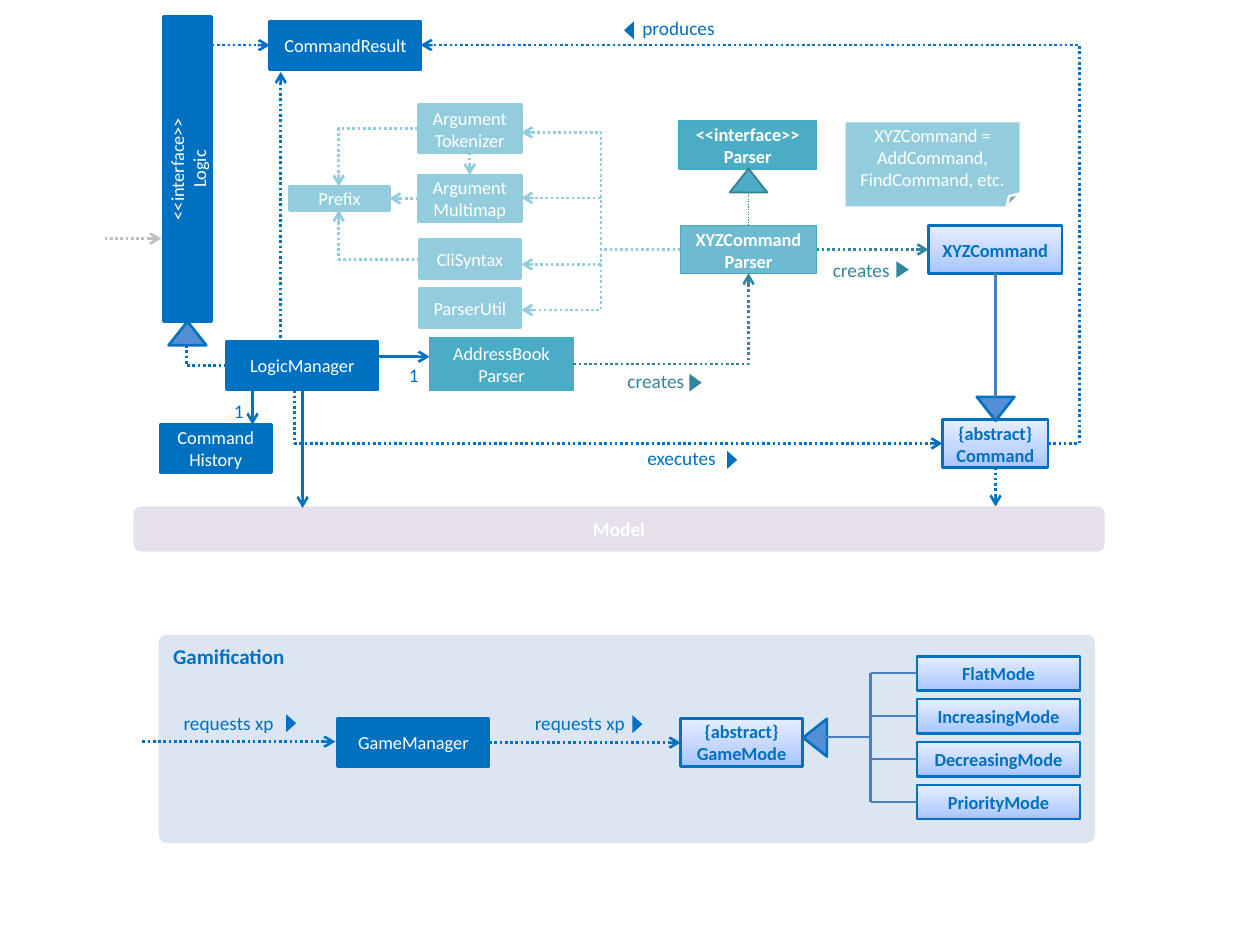
from copy import deepcopy

from lxml import etree
from pptx import Presentation
from pptx.dml.color import RGBColor
from pptx.enum.dml import MSO_LINE
from pptx.enum.shapes import MSO_CONNECTOR, MSO_SHAPE
from pptx.enum.text import MSO_ANCHOR, PP_ALIGN
from pptx.oxml.ns import qn
from pptx.util import Cm, Pt

RECT, ROUNDED = MSO_SHAPE.RECTANGLE, MSO_SHAPE.ROUNDED_RECTANGLE
FOLDED, TRIANGLE = MSO_SHAPE.FOLDED_CORNER, MSO_SHAPE.ISOSCELES_TRIANGLE
STRAIGHT, ELBOW = MSO_CONNECTOR.STRAIGHT, MSO_CONNECTOR.ELBOW
DOTTED = MSO_LINE.ROUND_DOT
LEFT, CENTER, RIGHT = PP_ALIGN.LEFT, PP_ALIGN.CENTER, PP_ALIGN.RIGHT
TOP, MIDDLE = MSO_ANCHOR.TOP, MSO_ANCHOR.MIDDLE


class Theme:
    font = "Calibri"
    white, gray = "FFFFFF", "BFBFBF"
    blue, mid_blue, tree_blue = "0070C0", "558ED5", "4B7EBC"
    teal, teal_edge, dark_teal, teal_outline = "4BACC6", "46AAC5", "31859C", "377F92"
    pale_teal, lilac, pale_blue = "93CDDD", "E6E0EC", "DCE6F2"
    gradient = [(0, "A4C4FF"), (0.35, "BFD4FF"), (1, "E6EEFF")]
    heading, label, body = 12, 11, 10.5
    thick, medium, thin = 1.5, 1, 0.75


def add_box(shapes, kind, frame, fill, edge=None, width=Theme.thick, text="",
            ink=Theme.white, bold=False, size=Theme.body, align=CENTER, anchor=MIDDLE):
    """Add a shape; a list as fill means gradient stops, None means a bare text box."""
    lengths = [Cm(length) for length in frame]
    if fill is None:
        box = shapes.add_textbox(*lengths)
        box.text_frame.margin_left = box.text_frame.margin_right = 0
        box.text_frame.margin_top = box.text_frame.margin_bottom = 0
    else:
        box = shapes.add_shape(kind, *lengths)
        box.shadow.inherit = False
        if isinstance(fill, list):
            box.fill.gradient()
            box.fill.gradient_angle = 90
            stops = box._element.spPr.xpath(".//a:gsLst")[0]
            stops.insert(1, deepcopy(stops[0]))
            for stop, (position, color) in zip(box.fill.gradient_stops, fill):
                stop.position = position
                stop.color.rgb = RGBColor.from_string(color)
        else:
            box.fill.solid()
            box.fill.fore_color.rgb = RGBColor.from_string(fill)
        if edge:
            box.line.color.rgb = RGBColor.from_string(edge)
            box.line.width = Pt(width)
        else:
            box.line.fill.background()
    if text:
        box.text_frame.word_wrap = True
        box.text_frame.vertical_anchor = anchor
        box.text_frame.text = text
        for para in box.text_frame.paragraphs:
            para.alignment = align
            for span in para.runs:
                span.font.name = Theme.font
                span.font.size = Pt(size)
                span.font.bold = bold
                span.font.color.rgb = RGBColor.from_string(ink)
    return box


def add_link(start, end, color, bend=None, dotted=True, arrow=True, width=Theme.thick):
    """Add a connector; bend is None, "corner", or where the middle leg sits (0 to 1)."""
    points = [Cm(length) for length in (*start, *end)]
    link = page.shapes.add_connector(STRAIGHT if bend is None else ELBOW, *points)
    link.line.color.rgb = RGBColor.from_string(color)
    link.line.width = Pt(width)
    if dotted:
        link.line.dash_style = DOTTED
    properties = link._element.spPr
    if arrow:
        etree.SubElement(properties.find(qn("a:ln")), qn("a:tailEnd"), type="arrow")
    etree.SubElement(properties, qn("a:effectLst"))
    geometry = properties.find(qn("a:prstGeom"))
    if bend == "corner":
        geometry.set("prst", "bentConnector2")
    elif bend is not None:
        etree.SubElement(geometry.find(qn("a:avLst")), qn("a:gd"),
                         name="adj1", fmla=f"val {round(bend * 100000)}")


deck = Presentation()
deck.slide_width, deck.slide_height = Cm(25.4), Cm(19.05)
page = deck.slides.add_slide(deck.slide_layouts[6])

# Panels
panel = add_box(page.shapes, ROUNDED, (3.2, 12.8, 18.87, 4.19), Theme.pale_blue, text="Gamification",
                ink=Theme.blue, bold=True, size=Theme.heading, align=LEFT, anchor=TOP)
panel.adjustments[0] = 0.035
add_box(page.shapes, ROUNDED, (2.69, 10.21, 19.58, 0.91), Theme.lilac, text="Model",
        bold=True, size=Theme.label)

# Plain classes
for text, frame, color in [
    ("CommandResult", (5.44, 0.43, 3.05, 0.97), Theme.blue),
    ("LogicManager", (4.57, 6.88, 3.05, 0.97), Theme.blue),
    ("GameManager", (6.81, 14.48, 3.05, 0.97), Theme.blue),
    ("Command\nHistory", (3.23, 8.56, 2.24, 0.97), Theme.blue),
    ("Argument\vTokenizer", (8.43, 2.11, 2.08, 0.97), Theme.pale_teal),
    ("Argument\vMultimap", (8.43, 3.53, 2.08, 0.94), Theme.pale_teal),
    ("Prefix", (5.84, 3.76, 2.01, 0.48), Theme.pale_teal),
    ("CliSyntax", (8.46, 4.83, 2.03, 0.79), Theme.pale_teal),
    ("ParserUtil", (8.46, 5.82, 2.03, 0.79), Theme.pale_teal),
]:
    add_box(page.shapes, RECT, frame, color, color, text=text)
logic = add_box(page.shapes, RECT, (0.71, 2.92, 6.15, 0.97), Theme.blue, Theme.blue,
                text="<<interface>>\nLogic")
logic.rotation = 270
add_box(page.shapes, FOLDED, (17.02, 2.44, 3.56, 1.75), Theme.pale_teal, Theme.white,
        text="XYZCommand = AddCommand, FindCommand, etc.")

# Parsers
for text, frame, bold in [
    ("AddressBook\nParser", (8.66, 6.81, 2.9, 1.07), False),
    ("<<interface>>\nParser", (13.69, 2.44, 2.77, 0.97), True),
    ("XYZCommand\nParser", (13.72, 4.55, 2.74, 0.97), True),
]:
    parser = add_box(page.shapes, RECT, frame, Theme.teal, Theme.teal_edge, Theme.thin, text, bold=bold)
parser_color = parser._element.spPr.xpath("./a:solidFill/a:srgbClr")[0]
etree.SubElement(parser_color, qn("a:alpha"), val="81000")

# Commands and game modes
gradient_boxes = [
    ("XYZCommand", (18.72, 4.55, 2.69, 0.97)),
    ("{abstract}\vCommand", (19, 8.46, 2.13, 0.97)),
    ("{abstract}\vGameMode", (13.72, 14.48, 2.46, 0.97)),
]
mode_pitch = 0.865
modes = ["FlatMode", "IncreasingMode", "DecreasingMode", "PriorityMode"]
for row, mode in enumerate(modes):
    gradient_boxes.append((mode, (18.49, 13.23 + row * mode_pitch, 3.28, 0.69)))
for text, frame in gradient_boxes:
    add_box(page.shapes, RECT, frame, Theme.gradient, Theme.blue, text=text, ink=Theme.blue, bold=True)

# Inheritance heads
for left, top, turn, fill, edge, width in [
    (3.4, 6.48, 0, Theme.mid_blue, Theme.blue, Theme.thick),
    (19.69, 8, 180, Theme.mid_blue, Theme.blue, Theme.thick),
    (16.05, 14.63, 270, Theme.mid_blue, Theme.blue, Theme.thick),
    (14.71, 3.4, 0, Theme.teal, Theme.teal_outline, Theme.medium),
]:
    head = add_box(page.shapes, TRIANGLE, (left, top, 0.76, 0.48), fill, edge, width)
    head.rotation = turn

# Labels with a reading direction
for text, frame, align, color, pointer_frame, turn in [
    ("executes", (12.4, 8.99, 2.03, 0.64), RIGHT, Theme.blue, (14.58, 9.17, 0.36, 0.2), 90),
    ("produces", (12.95, 0.33, 2.03, 0.64), LEFT, Theme.blue, (12.5, 0.51, 0.36, 0.2), 270),
    ("creates", (12.65, 7.44, 1.55, 0.71), LEFT, Theme.dark_teal, (13.84, 7.59, 0.36, 0.25), 90),
    ("creates", (16.79, 5.21, 1.65, 0.61), LEFT, Theme.dark_teal, (18.03, 5.31, 0.33, 0.25), 90),
    ("requests xp", (10.19, 14.33, 2.41, 0.64), RIGHT, Theme.blue, (12.67, 14.5, 0.36, 0.2), 90),
    ("requests xp", (3.2, 14.33, 2.32, 0.64), RIGHT, Theme.blue, (5.69, 14.48, 0.36, 0.2), 90),
]:
    group = page.shapes.add_group_shape()
    add_box(group.shapes, None, frame, None, text=text, ink=color, size=Theme.label, align=align, anchor=TOP)
    add_box(group.shapes, TRIANGLE, pointer_frame, color).rotation = turn
for left, top in [(8.08, 7.32), (4.55, 8.05)]:
    add_box(page.shapes, None, (left, top, 0.36, 0.64), None, text="1", ink=Theme.blue,
            size=Theme.label, align=RIGHT, anchor=TOP)

# Dotted arrows
for start, end, color, bend in [
    ((21.13, 8.94), (8.48, 0.91), Theme.blue, -0.05),
    ((4.27, 0.91), (5.44, 0.91), Theme.blue, None),
    ((20.07, 9.42), (20.07, 10.21), Theme.blue, None),
    ((5.94, 7.87), (19, 8.94), Theme.blue, 0),
    ((5.66, 6.91), (5.66, 1.45), Theme.blue, None),
    ((9.86, 14.97), (13.72, 14.97), Theme.blue, None),
    ((2.87, 14.95), (6.76, 14.95), Theme.blue, None),
    ((2.11, 4.81), (3.25, 4.81), Theme.gray, None),
    ((8.46, 5.23), (6.83, 4.24), Theme.pale_teal, "corner"),
    ((8.43, 2.59), (6.83, 3.76), Theme.pale_teal, "corner"),
    ((8.43, 4), (7.85, 4), Theme.pale_teal, None),
    ((9.47, 3.07), (9.47, 3.53), Theme.pale_teal, None),
    ((16.46, 5.03), (18.72, 5.03), Theme.dark_teal, None),
    ((11.56, 7.34), (15.09, 5.51), Theme.dark_teal, "corner"),
]:
    add_link(start, end, color, bend)
for helper_y in [2.67, 3.99, 5.33, 6.25]:
    add_link((13.72, 5.03), (10.51, helper_y), Theme.pale_teal, 0.5)

# Solid arrows from LogicManager
for start, end in [((6.1, 7.85), (6.1, 10.24)), ((5.09, 7.87), (5.09, 8.56)), ((7.65, 7.19), (8.66, 7.19))]:
    add_link(start, end, Theme.blue, dotted=False)

# Inheritance lines
add_link((4.57, 7.37), (3.76, 6.96), Theme.blue, "corner", arrow=False)
add_link((15.09, 4.55), (15.09, 3.91), Theme.dark_teal, arrow=False, width=Theme.thin)
mode_lines = [((20.07, 8), (20.07, 5.51)), ((16.59, 14.86), (17.55, 14.86)), ((17.55, 16.17), (17.55, 13.57))]
for row in range(len(modes)):
    branch_y = 13.57 + row * mode_pitch
    mode_lines.append(((17.55, branch_y), (18.49, branch_y)))
for start, end in mode_lines:
    add_link(start, end, Theme.tree_blue, dotted=False, arrow=False)

deck.save("out.pptx")
